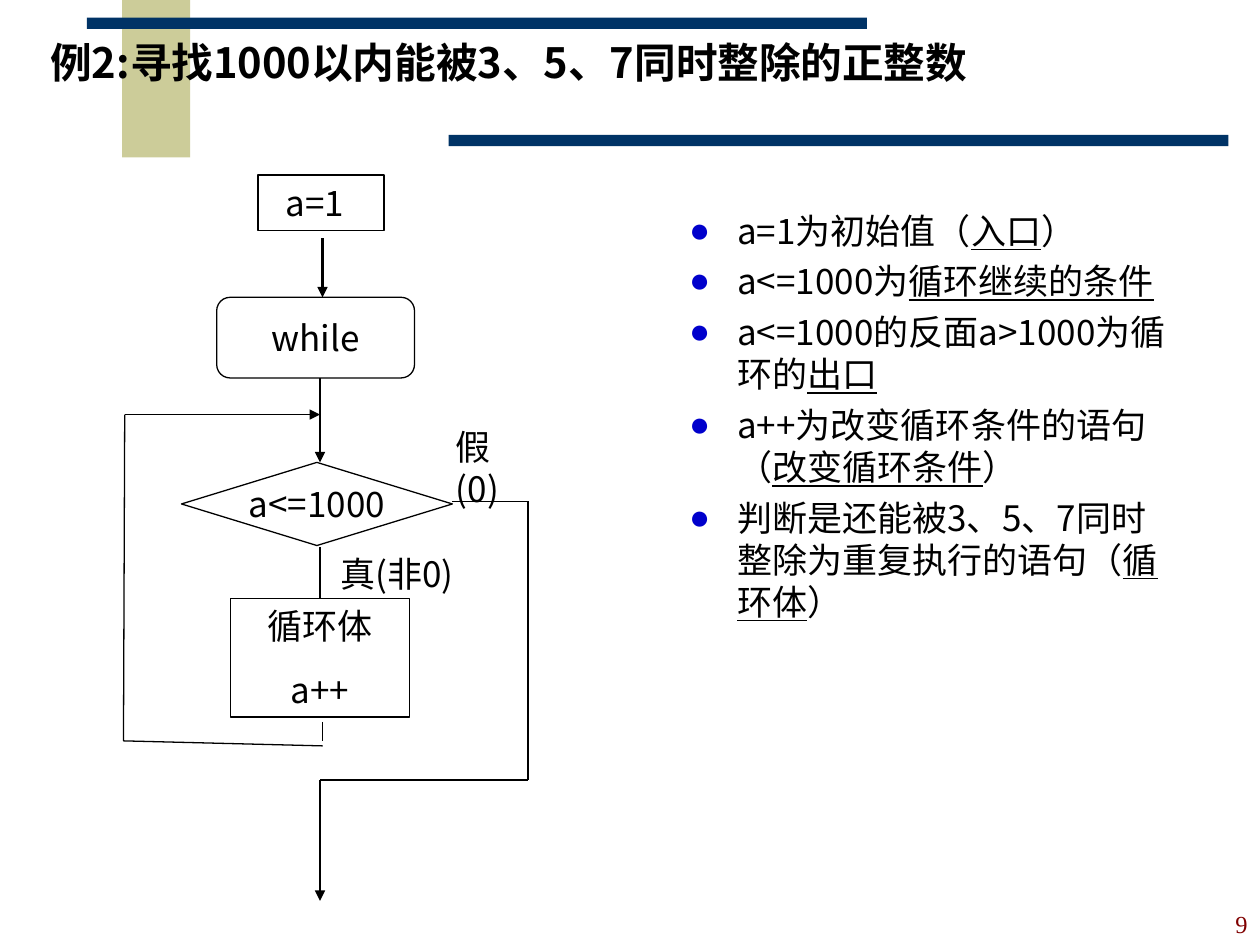
from dataclasses import dataclass

from lxml.etree import SubElement
from pptx import Presentation
from pptx.dml.color import RGBColor
from pptx.enum.shapes import MSO_CONNECTOR, MSO_SHAPE
from pptx.enum.text import MSO_ANCHOR, MSO_AUTO_SIZE, PP_ALIGN
from pptx.oxml.ns import qn
from pptx.util import Inches, Pt


@dataclass(frozen=True)
class Theme:
    ink: RGBColor = RGBColor(0, 0, 0)
    paper: RGBColor = RGBColor(255, 255, 255)
    khaki: RGBColor = RGBColor(0xCC, 0xCC, 0x99)
    navy: RGBColor = RGBColor(0x00, 0x33, 0x66)
    maroon: RGBColor = RGBColor(0x80, 0x00, 0x00)
    bullet: str = "0000CC"
    sans: str = "Noto Sans CJK JP"
    serif: str = "Times New Roman"
    title_size: float = 23.8
    text_size: float = 20
    line_pitch: float = 24
    number_size: float = 14


theme = Theme()


def add_run(paragraph, text, size=theme.text_size, color=theme.ink, face=theme.sans):
    run = paragraph.add_run()
    run.text = text
    run.font.size = Pt(size)
    run.font.color.rgb = color
    run.font.name = face
    SubElement(run.font._element, qn("a:ea"), typeface=face)
    return run


def add_line(start, end, width=0.75, arrow=False):
    x1, y1, x2, y2 = (Inches(v) for v in (*start, *end))
    line = slide.shapes.add_connector(MSO_CONNECTOR.STRAIGHT, x1, y1, x2, y2)
    line.line.color.rgb = theme.ink
    line.line.width = Pt(width)
    if arrow:
        SubElement(line.line._get_or_add_ln(), qn("a:tailEnd"), type="triangle")
    SubElement(line.element.spPr, qn("a:effectLst"))


prs = Presentation()
prs.slide_width, prs.slide_height = Inches(10), Inches(7.5)
slide = prs.slides.add_slide(prs.slide_layouts[1])

for left, top, width, height, color in (
    (0.97, 0, 0.54, 1.25, theme.khaki),
    (0.69, 0.14, 6.19, 0.09, theme.navy),
    (3.56, 1.07, 6.19, 0.09, theme.navy),
):
    band = slide.shapes.add_shape(
        MSO_SHAPE.RECTANGLE, Inches(left), Inches(top), Inches(width), Inches(height)
    )
    band.shadow.inherit = False
    band.fill.solid()
    band.fill.fore_color.rgb = color
    band.line.fill.background()

title, notes = slide.shapes.title, slide.placeholders[1]
for holder, area in ((title, (0.3, 0.29, 8.87, 0.67)), (notes, (5.37, 1.61, 4.07, 4.63))):
    holder.left, holder.top, holder.width, holder.height = (Inches(v) for v in area)
    holder.text_frame.auto_size = MSO_AUTO_SIZE.NONE
    holder.text_frame.vertical_anchor = MSO_ANCHOR.TOP
    holder.text_frame.word_wrap = True
    holder.element.getparent().append(holder.element)

heading = title.text_frame.paragraphs[0]
heading.alignment = PP_ALIGN.LEFT
heading.line_spacing = 0.9
add_run(heading, "例2:寻找1000以内能被3、5、7同时整除的正整数", theme.title_size).font.bold = True

points = (
    ("a=1为初始值（", "入口", "）"),
    ("a<=1000为", "循环继续的条件"),
    ("a<=1000的反面a>1000为循环的", "出口"),
    ("a++为改变循环条件的语句（", "改变循环条件", "）"),
    ("判断是还能被3、5、7同时整除为重复执行的语句（", "循环体", "）"),
)
for number, parts in enumerate(points):
    frame = notes.text_frame
    point = frame.add_paragraph() if number else frame.paragraphs[0]
    point.space_before = Pt(5)
    point.line_spacing = Pt(theme.line_pitch)
    props = point._p.get_or_add_pPr()
    props.set("marL", str(Inches(0.38)))
    props.set("indent", str(Inches(-0.38)))
    SubElement(SubElement(props, qn("a:buClr")), qn("a:srgbClr"), val=theme.bullet)
    SubElement(props, qn("a:buChar"), char="●")
    for position, part in enumerate(parts):
        add_run(point, part).font.underline = position == 1

axis, loop_left, exit_right = 2.54, 0.98, 4.19
add_line((2.56, 1.89), (2.56, 2.36), width=1.5, arrow=True)
add_line((axis, 3), (axis, 3.67), arrow=True)
add_line((axis, 4.34), (axis, 4.75))
add_line((2.56, 5.73), (2.56, 5.88))

loop_back = ((2.56, 5.92), (loop_left, 5.88), (0.99, 3.29), (axis, 3.29))
loop_exit = ((3.59, 3.98), (exit_right, 3.98), (exit_right, 6.19), (axis, 6.19), (axis, 7.15))
for route in (loop_back, loop_exit):
    for start, end in zip(route, route[1:]):
        add_line(start, end, arrow=end == route[-1])

steps = (
    (MSO_SHAPE.RECTANGLE, (2.05, 1.39, 1, 0.44), ("a=1",), 1, 0),
    (MSO_SHAPE.FLOWCHART_ALTERNATE_PROCESS, (1.72, 2.36, 1.57, 0.64), ("while",), 0.75, 0.1),
    (MSO_SHAPE.FLOWCHART_DECISION, (1.44, 3.67, 2.15, 0.66), ("a<=1000",), 0.75, 0.1),
    (MSO_SHAPE.RECTANGLE, (1.83, 4.75, 1.42, 0.94), ("循环体", "a++"), 0.75, 0.1),
    (None, (3.52, 3.36, 0.6, 0.7), ("假(0)",), 0, 0.1),
    (None, (2.35, 4.33, 1.6, 0.44), ("真(非0)",), 0, 0.1),
)
for outline, area, lines, border, inset in steps:
    box = [Inches(v) for v in area]
    if outline is None:
        step = slide.shapes.add_textbox(*box)
    else:
        step = slide.shapes.add_shape(outline, *box)
        step.shadow.inherit = False
        step.fill.solid()
        step.fill.fore_color.rgb = theme.paper
        step.line.color.rgb = theme.ink
        step.line.width = Pt(border)
    frame = step.text_frame
    frame.word_wrap = outline in (None, MSO_SHAPE.RECTANGLE)
    frame.vertical_anchor = MSO_ANCHOR.MIDDLE
    frame.margin_left = Inches(inset)
    for number, text in enumerate(lines):
        line = frame.add_paragraph() if number else frame.paragraphs[0]
        line.alignment = PP_ALIGN.LEFT if text == "假(0)" else PP_ALIGN.CENTER
        line.line_spacing = Pt(theme.line_pitch)
        line.space_before = Pt(12.5 if number else 0)
        add_run(line, text)

page = slide.shapes.add_textbox(Inches(6.63), Inches(7), Inches(3.37), Inches(0.5))
page.text_frame.word_wrap = True
page.text_frame.vertical_anchor = MSO_ANCHOR.BOTTOM
page_line = page.text_frame.paragraphs[0]
page_line.alignment = PP_ALIGN.RIGHT
add_run(page_line, "9", theme.number_size, theme.maroon, theme.serif)

prs.save("out.pptx")
